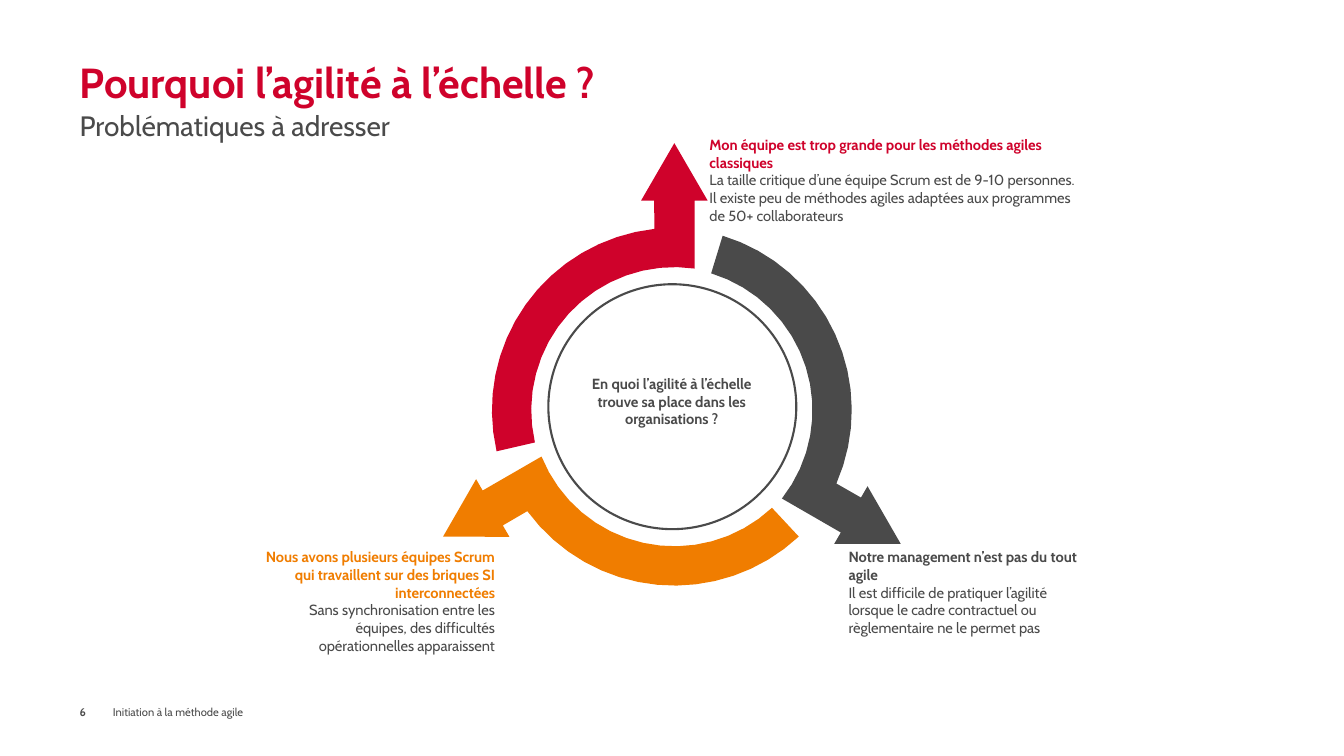
from math import cos, radians, sin

from pptx import Presentation
from pptx.dml.color import RGBColor
from pptx.enum.shapes import MSO_SHAPE
from pptx.enum.text import MSO_ANCHOR, MSO_AUTO_SIZE, PP_ALIGN
from pptx.util import Inches, Pt

LEFT, CENTER, RIGHT = PP_ALIGN.LEFT, PP_ALIGN.CENTER, PP_ALIGN.RIGHT
TOP, MIDDLE, BOTTOM = MSO_ANCHOR.TOP, MSO_ANCHOR.MIDDLE, MSO_ANCHOR.BOTTOM
RED, GREY, ORANGE, WHITE = "CF022B", "4A4A4A", "F07D00", "FFFFFF"
MARGIN = 0.79


def rgb(color):
    return RGBColor.from_string(color)


def write(sp, box, paragraphs, align=LEFT, anchor=TOP, inset=(0, 0)):
    """Place sp and fill it with (text, size, color, bold) paragraphs."""
    sp.left, sp.top, sp.width, sp.height = map(Inches, box)
    tf = sp.text_frame
    side, edge = map(Inches, inset)
    frame = dict(word_wrap=True, auto_size=MSO_AUTO_SIZE.NONE, vertical_anchor=anchor,
                 margin_left=side, margin_right=side, margin_top=edge, margin_bottom=edge)
    for name, value in frame.items():
        setattr(tf, name, value)
    for i, (text, size, color, bold) in enumerate(paragraphs):
        p = tf.add_paragraph() if i else tf.paragraphs[0]
        p.alignment = align
        r = p.add_run()
        r.text = text
        for name, value in dict(name="Cabin", size=Pt(size), bold=bold).items():
            setattr(r.font, name, value)
        r.font.color.rgb = rgb(color)


prs = Presentation()
prs.slide_width, prs.slide_height = Inches(13.333), Inches(7.5)
s = prs.slides.add_slide(prs.slide_layouts[5])

# Title, subtitle and footer
write(s.shapes.title, (MARGIN, 0.04, 11.76, 1.02),
      [("Pourquoi l’agilité à l’échelle ?", 30, RED, True)], anchor=BOTTOM)
for box, text, size, bold, anchor in [
    ((MARGIN, 1.08, 11.76, 0.39), "Problématiques à adresser", 20, False, TOP),
    ((MARGIN, 6.92, 0.33, 0.28), "6", 8, True, MIDDLE),
    ((1.12, 6.92, 3.94, 0.28), "Initiation à la méthode agile", 8, False, MIDDLE),
]:
    write(s.shapes.add_textbox(0, 0, 0, 0), box, [(text, size, GREY, bold)], anchor=anchor)

# One arc ending in an upward arrow, around (0, 0); the others are turned by 120°
OUTER, INNER = 1.81, 1.42
HALF_SHAFT, HALF_HEAD, HEAD_BASE, TIP = 0.2, 0.33, -2.08, -2.65
ARC_START, OUTER_END, INNER_END, STEPS = 167, 263.7, 278.1, 16


def arc(radius, start, end):
    angles = [radians(start + (end - start) * i / STEPS) for i in range(STEPS + 1)]
    return [(radius * cos(a), radius * sin(a)) for a in angles]


arrow = (arc(OUTER, ARC_START, OUTER_END)
         + [(-HALF_SHAFT, HEAD_BASE), (-HALF_HEAD, HEAD_BASE), (0, TIP),
            (HALF_HEAD, HEAD_BASE), (HALF_SHAFT, HEAD_BASE)]
         + arc(INNER, INNER_END, ARC_START))

for turn, cx, cy, color in [(120, 6.64, 4.07, GREY), (0, 6.69, 4.07, RED),
                            (240, 6.69, 4, ORANGE)]:
    c, n = cos(radians(turn)), sin(radians(turn))
    points = [(Inches(cx + x * c - y * n), Inches(cy + x * n + y * c)) for x, y in arrow]
    builder = s.shapes.build_freeform(*points[0])
    builder.add_line_segments(points[1:], close=True)
    sp = builder.convert_to_shape()
    sp.shadow.inherit = False
    sp.fill.solid()
    sp.fill.fore_color.rgb = rgb(color)
    sp.line.fill.background()

# Central question
circle = s.shapes.add_shape(MSO_SHAPE.OVAL, *map(Inches, (5.44, 2.82, 2.46, 2.43)))
circle.shadow.inherit = False
circle.fill.solid()
circle.fill.fore_color.rgb = rgb(WHITE)
circle.line.color.rgb = rgb(GREY)
circle.line.width = Pt(1.5)

question = "En quoi l’agilité à l’échelle trouve sa place dans les organisations ?"
write(s.shapes.add_textbox(0, 0, 0, 0), (5.65, 3.67, 2.03, 0.63),
      [(question, 10.5, GREY, True)], align=CENTER, inset=(0.1, 0.05))

# Problem beside each arrow head
for box, heading, body, color, align in [
    ((6.94, 1.3, 3.83, 0.98), "Mon équipe est trop grande pour les méthodes agiles classiques",
     "La taille critique d’une équipe Scrum est de 9-10 personnes. Il existe peu de "
     "méthodes agiles adaptées aux programmes de 50+ collaborateurs", RED, LEFT),
    ((8.32, 5.39, 2.52, 0.98), "Notre management n’est pas du tout agile",
     "Il est difficile de pratiquer l’agilité lorsque le cadre contractuel ou "
     "règlementaire ne le permet pas", GREY, LEFT),
    ((2.49, 5.39, 2.52, 1.16),
     "Nous avons plusieurs équipes Scrum qui travaillent sur des briques SI interconnectées",
     "Sans synchronisation entre les équipes, des difficultés opérationnelles apparaissent",
     ORANGE, RIGHT),
]:
    write(s.shapes.add_textbox(0, 0, 0, 0), box,
          [(heading, 10.5, color, True), (body, 10.5, GREY, False)],
          align=align, inset=(0.1, 0.05))

prs.save("out.pptx")
